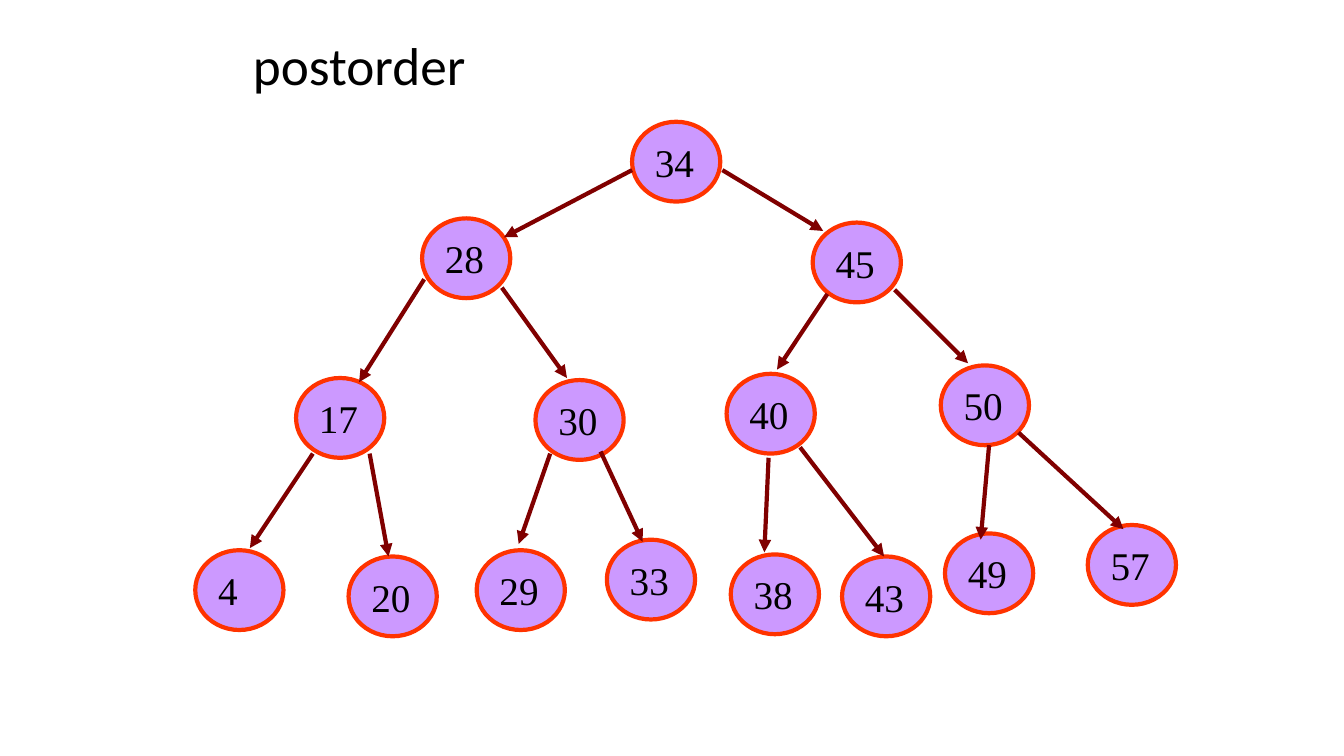
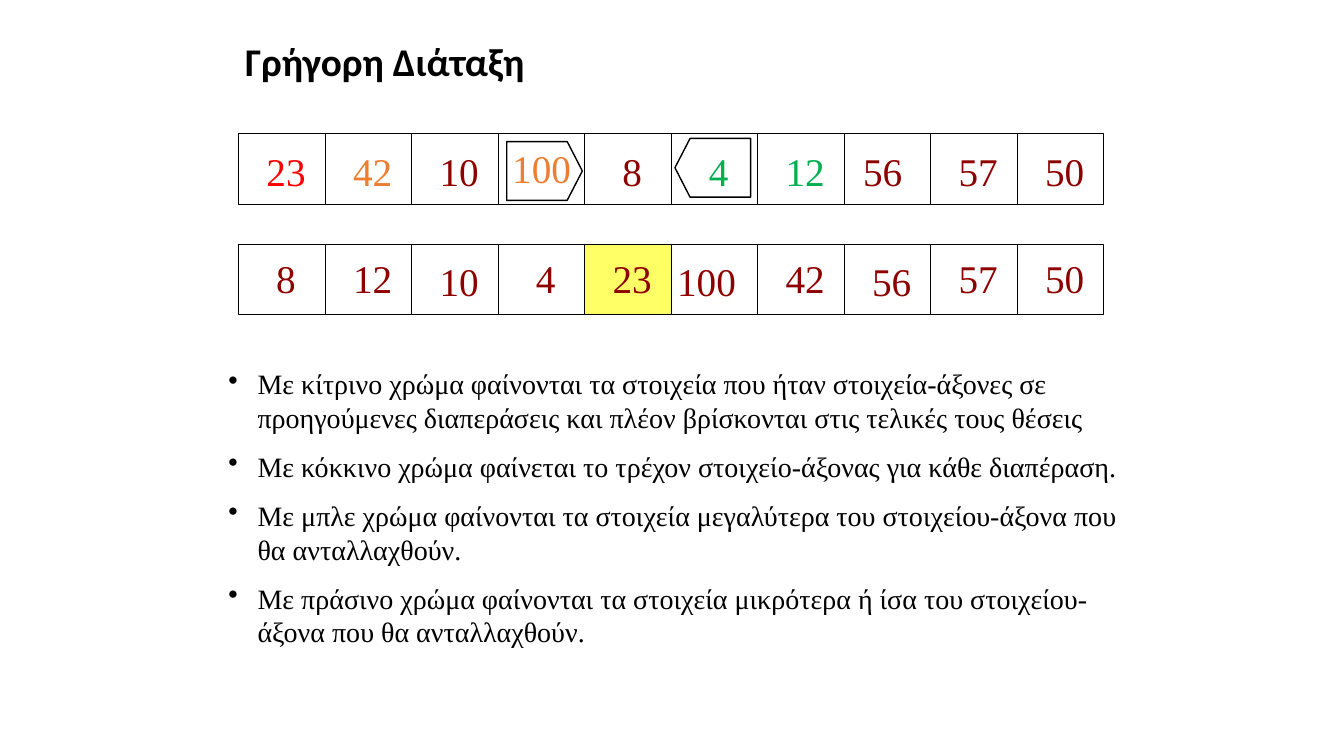
from pptx import Presentation
from pptx import util as u
from pptx.dml.color import RGBColor
from pptx.enum import shapes, text
from pptx.oxml.ns import qn
from lxml import etree

COLUMNS, ROWS = 64, 36
BLACK, RED, ORANGE, GREEN, MAROON = "000000", "FF0000", "ED7D31", "00B050", "8E0000"
ARROW, LILAC, RIM, YELLOW = "800000", "CC99FF", "FF3300", "FFFF66"
HEADING, BODY = "Calibri", "Times New Roman"

NODE_SIZE = (4.2, 3.8)
NODES = {
    34: (30.1, 5.8),
    28: (20.1, 10.4), 45: (38.7, 10.6),
    17: (14.1, 18), 30: (25.5, 18.1), 40: (34.6, 17.8), 50: (44.8, 17.4),
    4: (9.3, 26.2), 20: (16.6, 26.5), 29: (22.7, 26.2), 33: (28.9, 25.7),
    38: (34.8, 26.4), 43: (40.1, 26.5), 49: (45, 25.4), 57: (51.8, 25),
}
ARROWS = [
    (30.1, 8.1, 24, 11.3), (34.4, 8.1, 39.2, 11),
    (20.2, 13.3, 17.1, 18.2), (23.9, 13.7, 27, 18),
    (39.4, 14, 37, 17.6), (42.6, 13.8, 46.1, 17.3),
    (14.9, 21.6, 11.9, 26.1), (17.6, 21.6, 18.5, 26.5),
    (26.2, 21.6, 24.7, 25.9), (28.6, 21.5, 30.6, 25.8),
    (36.6, 21.8, 36.4, 26.3), (38.1, 21.3, 42.1, 26.5),
    (47.1, 21.2, 46.7, 25.7), (48.5, 20.6, 53.5, 25.2),
]

CELL_LEFT, CELL_WIDTH, CELL_HEIGHT = 11.37, 4.12, 3.36
SHIFT, HIGH, LOW = 0.04, 0.1, 0.13
BEFORE = [
    (23, RED, SHIFT, LOW), (42, ORANGE, SHIFT, LOW), (10, MAROON, SHIFT, LOW),
    (100, ORANGE, 0, HIGH), (8, MAROON, SHIFT, LOW), (4, GREEN, SHIFT, LOW),
    (12, GREEN, SHIFT, LOW), (56, MAROON, -0.05, LOW), (57, MAROON, SHIFT, LOW),
    (50, MAROON, SHIFT, LOW),
]
AFTER = [
    (8, MAROON, SHIFT, HIGH), (12, MAROON, SHIFT, HIGH), (10, MAROON, SHIFT, LOW),
    (4, MAROON, SHIFT, HIGH), (23, MAROON, SHIFT, HIGH), (100, MAROON, -0.08, LOW),
    (42, MAROON, SHIFT, HIGH), (56, MAROON, SHIFT, LOW), (57, MAROON, SHIFT, HIGH),
    (50, MAROON, SHIFT, HIGH),
]
LEGEND = [
    "Με κίτρινο χρώμα φαίνονται τα στοιχεία που ήταν στοιχεία-άξονες σε προηγούμενες διαπεράσεις και πλέον βρίσκονται στις τελικές τους θέσεις",
    "Με κόκκινο χρώμα φαίνεται το τρέχον στοιχείο-άξονας για κάθε διαπέραση.",
    "Με μπλε χρώμα φαίνονται τα στοιχεία μεγαλύτερα του στοιχείου-άξονα που θα ανταλλαχθούν.",
    "Με πράσινο χρώμα φαίνονται τα στοιχεία μικρότερα ή ίσα του στοιχείου-άξονα που θα ανταλλαχθούν.",
]


def colour(code):
    return RGBColor.from_string(code)


class Board:
    """Holds the deck, its style and the current slide."""

    def __init__(self):
        self.deck = Presentation()
        self.deck.slide_width, self.deck.slide_height = u.Inches(13.33), u.Inches(7.5)
        self.page = None

    def new_page(self):
        self.page = self.deck.slides.add_slide(self.deck.slide_layouts[6])

    def place(self, *grid):
        steps = (self.deck.slide_width / COLUMNS, self.deck.slide_height / ROWS)
        return [round(value * steps[index % 2]) for index, value in enumerate(grid)]

    def style(self, para, size, font=BODY, ink=BLACK, bold=False):
        para.font.size, para.font.name, para.font.bold = u.Pt(size), font, bold
        para.font.color.rgb = colour(ink)

    def title(self, words, grid, size, bold=False):
        frame = self.page.shapes.add_textbox(*self.place(*grid)).text_frame
        frame.word_wrap = True
        frame.vertical_anchor = text.MSO_ANCHOR.MIDDLE
        para = frame.paragraphs[0]
        para.text, para.line_spacing = words, 0.9
        self.style(para, size, HEADING, bold=bold)

    def shape(self, kind, grid, line, width, fill=None):
        shape = self.page.shapes.add_shape(kind, *self.place(*grid))
        shape.shadow.inherit = False
        shape.line.color.rgb, shape.line.width = colour(line), u.Pt(width)
        if fill:
            shape.fill.solid()
            shape.fill.fore_color.rgb = colour(fill)
        else:
            shape.fill.background()
        return shape

    def number(self, shape, value, ink, align, anchor, left, right, top):
        frame = shape.text_frame
        frame.word_wrap, frame.vertical_anchor = True, anchor
        frame.margin_left, frame.margin_right = u.Inches(left), u.Inches(right)
        frame.margin_top, frame.margin_bottom = u.Inches(top), 0
        para = frame.paragraphs[0]
        para.text, para.alignment = str(value), align
        self.style(para, 28, ink=ink)

    def node(self, value, left, top):
        oval = self.shape(shapes.MSO_SHAPE.OVAL, (left, top, *NODE_SIZE), RIM, 3, LILAC)
        self.number(oval, value, BLACK, text.PP_ALIGN.LEFT, text.MSO_ANCHOR.MIDDLE, 0.1, 0, 0)

    def arrow(self, *ends):
        arrow = self.page.shapes.add_connector(shapes.MSO_CONNECTOR.STRAIGHT, *self.place(*ends))
        arrow.line.color.rgb, arrow.line.width = colour(ARROW), u.Pt(3)
        etree.SubElement(arrow.line._get_or_add_ln(), qn("a:tailEnd"), type="triangle")
        etree.SubElement(arrow._element.spPr, qn("a:effectLst"))

    def array(self, top, cells, settled=()):
        for index, (value, ink, shift, drop) in enumerate(cells):
            grid = (CELL_LEFT + index * CELL_WIDTH, top, CELL_WIDTH, CELL_HEIGHT)
            fill = YELLOW if value in settled else None
            cell = self.shape(shapes.MSO_SHAPE.RECTANGLE, grid, BLACK, 0.75, fill)
            self.number(cell, value, ink, text.PP_ALIGN.CENTER, text.MSO_ANCHOR.TOP,
                        0.08 + shift, 0.08 - shift, drop)

    def pointer(self, left, top, turn):
        kind = shapes.MSO_SHAPE.FLOWCHART_OFFPAGE_CONNECTOR
        self.shape(kind, (left, top, 2.8, 3.6), BLACK, 1).rotation = turn

    def bullets(self, items, grid):
        frame = self.page.shapes.add_textbox(*self.place(*grid)).text_frame
        frame.word_wrap = True
        for index, words in enumerate(items):
            para = frame.add_paragraph() if index else frame.paragraphs[0]
            para.text = words
            properties = para._p.get_or_add_pPr()
            properties.set("marL", str(u.Inches(0.29)))
            properties.set("indent", str(-u.Inches(0.29)))
            etree.SubElement(properties, qn("a:buChar"), char="•")
            para.space_before = u.Pt(11 if index else 0)
            self.style(para, 20)


def main():
    board = Board()

    board.new_page()
    board.title("postorder", (11.57, 0.24, 40.8, 6), 38)
    for value, corner in NODES.items():
        board.node(value, *corner)
    for ends in ARROWS:
        board.arrow(*ends)

    board.new_page()
    board.bullets(LEGEND, (10.4, 17.23, 44, 14.2))
    board.title("Γρήγορη Διάταξη", (11.2, 1.7, 40.8, 2.7), 28, bold=True)
    board.pointer(24.53, 6.34, 270)
    board.pointer(32.54, 6.19, 90)
    board.array(6.38, BEFORE)
    board.array(11.63, AFTER, settled=(23,))

    board.deck.save("out.pptx")


if __name__ == "__main__":
    main()
